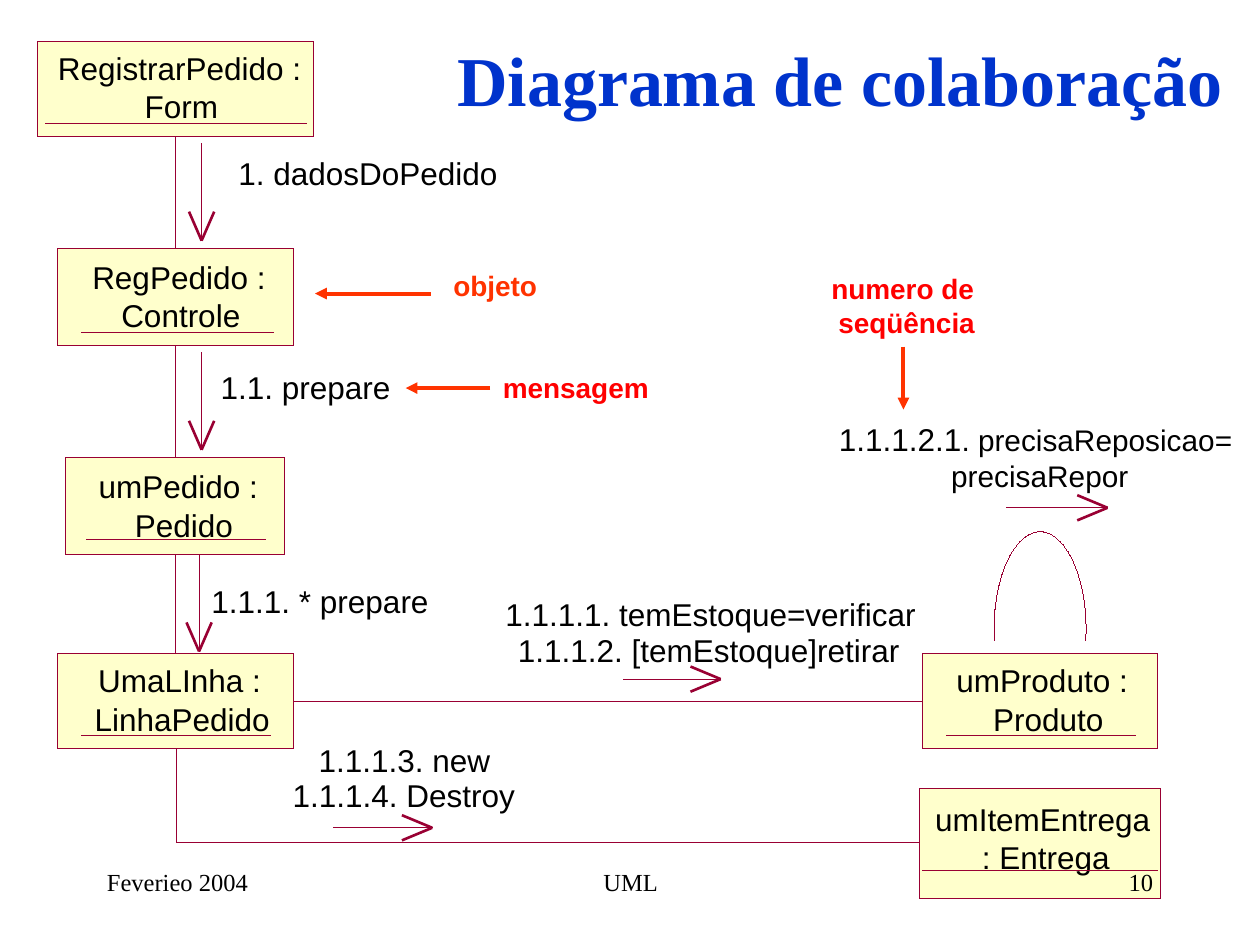
from lxml import etree
from pptx import Presentation
from pptx.dml.color import RGBColor
from pptx.enum.shapes import MSO_CONNECTOR, MSO_SHAPE
from pptx.enum.text import MSO_ANCHOR, MSO_AUTO_SIZE, PP_ALIGN
from pptx.oxml.ns import qn
from pptx.util import Inches, Pt

BLACK = RGBColor(0x00, 0x00, 0x00)
WHITE = RGBColor(0xFF, 0xFF, 0xFF)
BLUE = RGBColor(0x00, 0x33, 0xCC)
CREAM = RGBColor(0xFF, 0xFF, 0xCC)
MAROON = RGBColor(0x99, 0x00, 0x33)
RED = RGBColor(0xFF, 0x00, 0x00)
ORANGE = RGBColor(0xFF, 0x33, 0x00)

TOP, LEFT, BOTTOM, RIGHT = range(4)
HAIRLINE = 0
LABEL_PAD = 0.1


def drop_style(sp):
    """Remove the theme style, whose line width would replace a hairline."""
    sp._element.remove(sp._element.find(qn("p:style")))


class Diagram:
    font = "Arial"
    serif = "Times New Roman"
    size = 18

    def __init__(self, slide):
        self.shapes = slide.shapes

    def fill_text(self, sp, lines, size=None, color=BLACK, bold=False, font=None,
                  align=PP_ALIGN.CENTER, inset=(0, 0)):
        """Write lines; a line is a string or a list of (text, size) runs."""
        tf = sp.text_frame
        tf.word_wrap = True
        tf.auto_size = MSO_AUTO_SIZE.NONE
        tf.vertical_anchor = MSO_ANCHOR.TOP
        tf.margin_left = tf.margin_right = Inches(inset[0])
        tf.margin_top = tf.margin_bottom = Inches(inset[1])
        for i, line in enumerate(lines):
            p = tf.add_paragraph() if i else tf.paragraphs[0]
            p.alignment = align
            runs = [(line, size or self.size)] if isinstance(line, str) else line
            for text, points in runs:
                r = p.add_run()
                r.text = text
                r.font.name = font or self.font
                r.font.size = Pt(points)
                r.font.bold = bold
                r.font.color.rgb = color

    def text(self, x, y, w, h, *lines, **style):
        sp = self.shapes.add_textbox(Inches(x), Inches(y), Inches(w), Inches(h))
        self.fill_text(sp, lines, **style)
        return sp

    def label(self, text, x, y, w):
        """One centred line, with room on both sides so that it never breaks."""
        return self.text(x - LABEL_PAD, y, w + 2 * LABEL_PAD, 0.3, text)

    def note(self, x, y, w, h, *lines, color=RED):
        return self.text(x, y, w, h, *lines, size=16, color=color, bold=True,
                         inset=(0, 0.05))

    def frame(self, x, y, w, h, fill=None, line=None, preset=MSO_SHAPE.RECTANGLE):
        sp = self.shapes.add_shape(preset, Inches(x), Inches(y), Inches(w), Inches(h))
        sp.shadow.inherit = False
        drop_style(sp)
        if fill is None:
            sp.fill.background()
        else:
            sp.fill.solid()
            sp.fill.fore_color.rgb = fill
        if line is None:
            sp.line.fill.background()
        else:
            sp.line.color.rgb = line
            sp.line.width = HAIRLINE
        return sp

    def arc(self, x, y, w, h, start, end):
        """Part of an ellipse, clockwise between two angles in degrees."""
        sp = self.frame(x, y, w, h, line=MAROON, preset=MSO_SHAPE.ARC)
        for i, degrees in enumerate((start, end)):
            sp.adjustments[i] = degrees * 0.6

    def line(self, x1, y1, x2, y2, width=HAIRLINE, color=MAROON, head=False):
        cx = self.shapes.add_connector(MSO_CONNECTOR.STRAIGHT, Inches(x1), Inches(y1),
                                       Inches(x2), Inches(y2))
        drop_style(cx)
        cx.line.color.rgb = color
        cx.line.width = Pt(width)
        if head:
            etree.SubElement(cx.line._get_or_add_ln(), qn("a:tailEnd"), type="triangle")
        etree.SubElement(cx._element.spPr, qn("a:effectLst"))
        return cx

    def link(self, start, start_side, end, end_side):
        cx = self.line(0, 0, 1, 1)
        cx.begin_connect(start, start_side)
        cx.end_connect(end, end_side)

    def pointer(self, x1, y1, x2, y2):
        return self.line(x1, y1, x2, y2, 2.25, ORANGE, head=True)

    def message_arrow(self, x1, y1, x2, y2):
        """Thin shaft with an open head, pointing down or right."""
        self.line(x1, y1, x2, y2)
        for side in (0.1, -0.1):
            dx, dy = (side, -0.23) if x1 == x2 else (-0.24, side)
            self.line(x2, y2, x2 + dx, y2 + dy, 1.5)

    def path_line(self, points):
        points = [(Inches(x), Inches(y)) for x, y in points]
        fb = self.shapes.build_freeform(*points[0])
        fb.add_line_segments(points[1:], close=False)
        sp = fb.convert_to_shape()
        sp.shadow.inherit = False
        drop_style(sp)
        sp.fill.background()
        sp.line.color.rgb = MAROON
        sp.line.width = HAIRLINE

    def uml_object(self, box, name, kind, underline):
        """Object box; name and kind are (text, x, y, width)."""
        sp = self.frame(*box, CREAM, MAROON)
        self.label(*name)
        self.label(*kind)
        x1, x2, y = underline
        self.line(x1, y, x2, y)
        return sp


def main():
    prs = Presentation()
    prs.slide_width, prs.slide_height = Inches(10), Inches(7.5)
    d = Diagram(prs.slides.add_slide(prs.slide_layouts[6]))

    title = d.text(3.33, 0.25, 6.67, 0.75, "Diagrama de colaboração", size=40, color=BLUE,
                   bold=True, font=d.serif, inset=(0.1, 0.05))
    title.text_frame.vertical_anchor = MSO_ANCHOR.MIDDLE

    form, control, order, item, product, delivery = [d.uml_object(*o) for o in (
        ((0.3, 0.33, 2.19, 0.75), ("RegistrarPedido : ", 0.46, 0.39, 2),
         ("Form", 1.15, 0.69, 0.58), (0.36, 2.43, 0.98)),
        ((0.46, 1.97, 1.87, 0.77), ("RegPedido : ", 0.73, 2.05, 1.45),
         ("Controle", 0.96, 2.35, 0.95), (0.65, 2.17, 2.64)),
        ((0.52, 3.63, 1.74, 0.77), ("umPedido : ", 0.78, 3.71, 1.34),
         ("Pedido", 1.07, 4.02, 0.78), (0.69, 2.11, 4.28)),
        ((0.46, 5.19, 1.87, 0.75), ("UmaLInha : ", 0.78, 5.25, 1.36),
         ("LinhaPedido", 0.75, 5.56, 1.39), (0.65, 2.15, 5.84)),
        ((7.32, 5.19, 1.87, 0.75), ("umProduto : ", 7.59, 5.25, 1.43),
         ("Produto", 7.88, 5.56, 0.88), (7.51, 9.01, 5.84)),
        ((7.3, 6.26, 1.91, 0.87), ("umItemEntrega ", 7.42, 6.35, 1.78),
         (": Entrega", 7.79, 6.65, 1.02), (7.32, 9.19, 6.91)),
    )]

    for start, end in ((form, control), (control, order), (order, item)):
        d.link(start, BOTTOM, end, TOP)
    d.link(item, RIGHT, product, LEFT)
    d.path_line([(1.4, 5.94), (1.4, 6.69), (7.3, 6.69)])
    d.arc(7.89, 4.22, 0.73, 1.54, 166, 14)

    restock = d.frame(6.56, 3.33, 3.32, 0.58, WHITE)
    d.fill_text(restock, [[("1.1.1.2.1", 18), (". precisaReposicao=", 17)],
                          [(" precisaRepor", 17)]])
    for label in (("1. dadosDoPedido", 1.89, 1.22, 2.06),
                  ("1.1. prepare", 1.75, 2.92, 1.35),
                  ("1.1.1. * prepare", 1.68, 4.62, 1.72),
                  ("1.1.1.1. temEstoque=verificar", 4.01, 4.72, 3.26),
                  ("1.1.1.2. [temEstoque]retirar", 4.11, 5.01, 3.03),
                  ("1.1.1.3. new", 2.53, 5.88, 1.36),
                  ("1.1.1.4. Destroy", 2.32, 6.16, 1.77)):
        d.label(*label)

    for arrow in ((1.6, 1.14, 1.6, 1.91), (1.6, 2.8, 1.6, 3.57), (1.58, 4.4, 1.58, 5.17),
                  (4.95, 5.39, 5.72, 5.39), (2.65, 6.57, 3.43, 6.57),
                  (7.99, 4.03, 8.79, 4.03)):
        d.message_arrow(*arrow)

    message = d.note(3.89, 2.89, 1.36, 0.38, "mensagem")
    d.pointer(3.89, 3.08, 3.22, 3.08).begin_connect(message, LEFT)
    d.pointer(3.42, 2.33, 2.5, 2.33)
    d.note(3.5, 2.08, 0.86, 0.37, "objeto", color=ORANGE)
    d.pointer(7.17, 2.75, 7.17, 3.25)
    d.note(6.5, 2.11, 1.39, 0.64, "numero de ", "seqüência")

    for text, x, w, align in (("UML", 3.42, 3.17, PP_ALIGN.CENTER),
                              ("10", 7.17, 2.08, PP_ALIGN.RIGHT),
                              ("Feverieo 2004", 0.75, 2.08, PP_ALIGN.LEFT)):
        d.text(x, 6.83, w, 0.5, text, size=14, font=d.serif, align=align,
               inset=(0.1, 0.05))

    prs.save("out.pptx")


if __name__ == "__main__":
    main()
